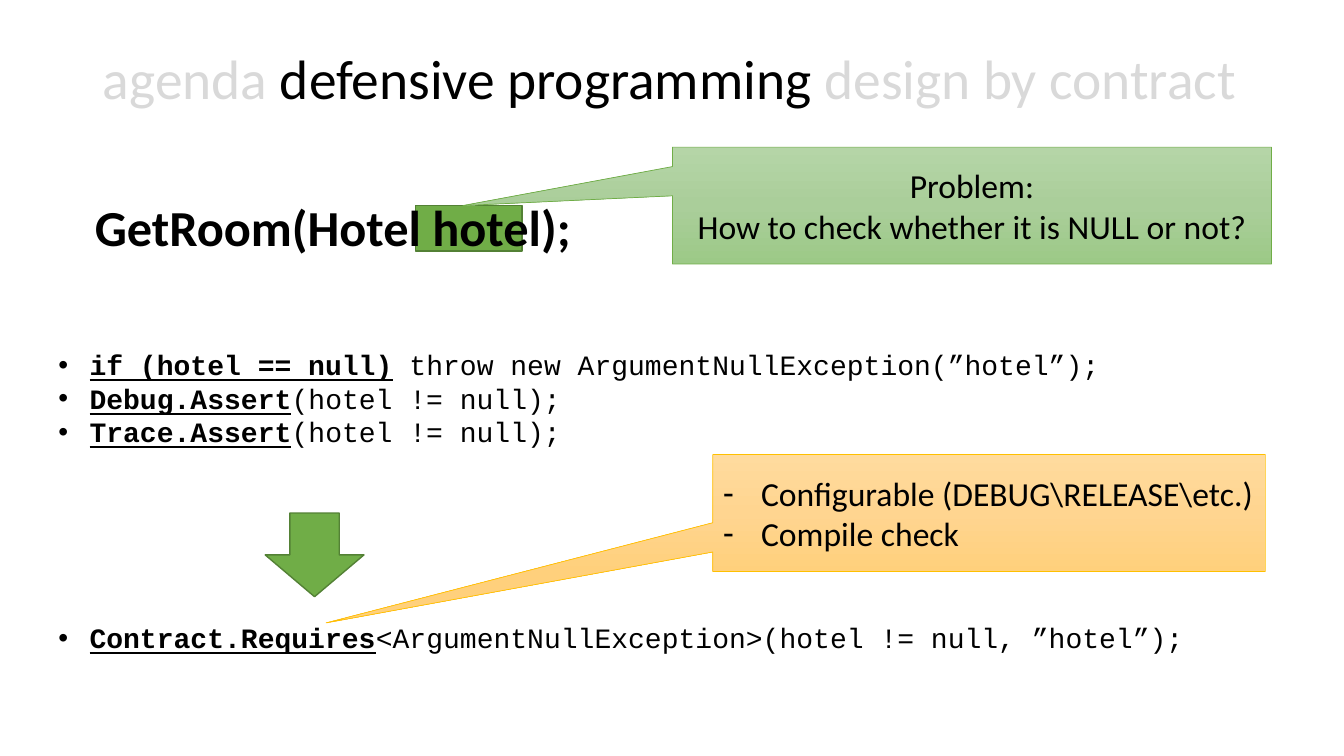
from copy import deepcopy
from dataclasses import dataclass

from pptx import Presentation
from pptx.dml.color import RGBColor
from pptx.enum.shapes import MSO_SHAPE
from pptx.enum.text import MSO_ANCHOR, MSO_AUTO_SIZE, PP_ALIGN
from pptx.oxml.ns import qn
from pptx.oxml.xmlchemy import OxmlElement
from pptx.util import Inches, Pt

RECTANGLE = MSO_SHAPE.RECTANGLE
DOWN_ARROW = MSO_SHAPE.DOWN_ARROW
CALLOUT = MSO_SHAPE.RECTANGULAR_CALLOUT
TOP, MIDDLE = MSO_ANCHOR.TOP, MSO_ANCHOR.MIDDLE
LEFT, CENTER = PP_ALIGN.LEFT, PP_ALIGN.CENTER
NO_AUTOFIT, GROW = MSO_AUTO_SIZE.NONE, MSO_AUTO_SIZE.SHAPE_TO_FIT_TEXT

BLACK = RGBColor(0x00, 0x00, 0x00)
GRAY = RGBColor(0xD9, 0xD9, 0xD9)
GREEN = RGBColor(0x70, 0xAD, 0x47)
DARK_GREEN = RGBColor(0x53, 0x81, 0x35)
AMBER = RGBColor(0xFF, 0xC0, 0x00)
GREEN_GRADIENT = (RGBColor(0xB5, 0xD5, 0xA7), RGBColor(0xAA, 0xCE, 0x9A), RGBColor(0x9C, 0xC9, 0x87))
AMBER_GRADIENT = (RGBColor(0xFF, 0xDB, 0x9E), RGBColor(0xFF, 0xD5, 0x90), RGBColor(0xFF, 0xD0, 0x7C))

BODY_FONT = "Calibri"
CODE_FONT = "Courier New"


@dataclass
class Box:
    left: float
    top: float
    width: float
    height: float

    def lengths(self) -> list:
        return [Inches(value) for value in (self.left, self.top, self.width, self.height)]


@dataclass
class Callout:
    box: Box
    pointer: tuple
    gradient: tuple
    outline: RGBColor
    lines: tuple
    alignment: PP_ALIGN
    bullet: str = ""


@dataclass
class CodeList:
    box: Box
    statements: tuple


CALLOUTS = (
    Callout(Box(6.67, 1.46, 5.94, 1.16), (-0.85, 0), GREEN_GRADIENT, GREEN,
            ("Problem:", "How to check whether it is NULL or not?"), CENTER),
    Callout(Box(7.07, 4.51, 5.48, 1.16), (-1.2, 0.94), AMBER_GRADIENT, AMBER,
            ("Configurable (DEBUG\\RELEASE\\etc.)", "Compile check"), LEFT, "-"),
)
CODE_LISTS = (
    CodeList(Box(0.48, 3.4, 10.62, 1.11), (
        ("if (hotel == null)", " throw new ArgumentNullException(”hotel”);"),
        ("Debug.Assert", "(hotel != null);"),
        ("Trace.Assert", "(hotel != null);"),
    )),
    CodeList(Box(0.48, 6.11, 11.62, 0.44), (
        ("Contract.Requires", "<ArgumentNullException>(hotel != null, ”hotel”);"),
    )),
)


def add_text(paragraph, text: str, *, size: float, font: str = BODY_FONT, color: RGBColor = BLACK,
             bold: bool = False, underline: bool = False) -> None:
    run = paragraph.add_run()
    run.text = text
    run.font.name = font
    run.font.size = Pt(size)
    run.font.color.rgb = color
    run.font.bold = bold
    run.font.underline = underline


def set_bullet(paragraph, character: str, indent: float) -> None:
    properties = paragraph._p.get_or_add_pPr()
    properties.set("marL", str(Inches(indent)))
    properties.set("indent", str(-Inches(indent)))
    if not character:
        properties.append(OxmlElement("a:buNone"))
        return
    typeface = OxmlElement("a:buFont")
    typeface.set("typeface", "Arial")
    bullet = OxmlElement("a:buChar")
    bullet.set("char", character)
    properties.extend([typeface, bullet])


def get_paragraph(text_frame, index: int):
    return text_frame.add_paragraph() if index else text_frame.paragraphs[0]


def place_placeholder(placeholder, box: Box, anchor: MSO_ANCHOR, line_spacing: float):
    placeholder.left, placeholder.top, placeholder.width, placeholder.height = box.lengths()
    text_frame = placeholder.text_frame
    text_frame.auto_size = NO_AUTOFIT
    text_frame.vertical_anchor = anchor
    paragraph = text_frame.paragraphs[0]
    paragraph.alignment = LEFT
    paragraph.line_spacing = line_spacing
    return paragraph


def add_outlined_shape(slide, kind: MSO_SHAPE, box: Box, outline: RGBColor, width: float):
    shape = slide.shapes.add_shape(kind, *box.lengths())
    shape.shadow.inherit = False
    shape.line.color.rgb = outline
    shape.line.width = Pt(width)
    return shape


def add_green_shape(slide, kind: MSO_SHAPE, box: Box):
    shape = add_outlined_shape(slide, kind, box, DARK_GREEN, 1)
    shape.fill.solid()
    shape.fill.fore_color.rgb = GREEN
    return shape


def fill_gradient(shape, colors: tuple) -> None:
    shape.fill.gradient()
    shape.fill.gradient_angle = 270
    stop_list = shape._element.spPr.find(qn("a:gradFill")).find(qn("a:gsLst"))
    stop_list.insert(1, deepcopy(stop_list[0]))
    for index, (stop, color) in enumerate(zip(shape.fill.gradient_stops, colors)):
        stop.position = index / (len(colors) - 1)
        stop.color.rgb = color


def add_callout(slide, callout: Callout) -> None:
    shape = add_outlined_shape(slide, CALLOUT, callout.box, callout.outline, 0.5)
    for index, offset in enumerate(callout.pointer):
        shape.adjustments[index] = offset
    fill_gradient(shape, callout.gradient)
    shape.text_frame.vertical_anchor = MIDDLE
    for index, line in enumerate(callout.lines):
        paragraph = get_paragraph(shape.text_frame, index)
        paragraph.alignment = callout.alignment
        if callout.bullet:
            set_bullet(paragraph, callout.bullet, 0.38)
        add_text(paragraph, line, size=24)


def add_code_list(slide, code_list: CodeList) -> None:
    text_frame = slide.shapes.add_textbox(*code_list.box.lengths()).text_frame
    text_frame.word_wrap = False
    text_frame.auto_size = GROW
    for index, (check, rest) in enumerate(code_list.statements):
        paragraph = get_paragraph(text_frame, index)
        set_bullet(paragraph, "•", 0.31)
        add_text(paragraph, check, size=20, font=CODE_FONT, bold=True, underline=True)
        add_text(paragraph, rest, size=20, font=CODE_FONT)


def main() -> None:
    presentation = Presentation()
    presentation.slide_width = Inches(13.33)
    presentation.slide_height = Inches(7.5)
    slide = presentation.slides.add_slide(presentation.slide_layouts[1])

    title = place_placeholder(slide.shapes.title, Box(0.92, 0.17, 11.5, 1.28), MIDDLE, 0.9)
    for text, color in (("agenda", GRAY), (" defensive programming ", BLACK), ("design by contract", GRAY)):
        add_text(title, text, size=39.6, color=color)

    body = slide.placeholders[1]
    signature = place_placeholder(body, Box(0.84, 2.01, 6.98, 0.62), TOP, 0.8)
    signature.space_before = Pt(10)
    set_bullet(signature, "", 0)
    add_text(signature, "GetRoom(Hotel hotel);", size=36, bold=True)

    highlight = add_green_shape(slide, RECTANGLE, Box(4.12, 2.04, 1.06, 0.45))
    body._element.addprevious(highlight._element)
    add_green_shape(slide, DOWN_ARROW, Box(2.63, 5.09, 0.98, 0.83))

    for code_list in CODE_LISTS:
        add_code_list(slide, code_list)
    for callout in CALLOUTS:
        add_callout(slide, callout)
    presentation.save("out.pptx")


if __name__ == "__main__":
    main()
